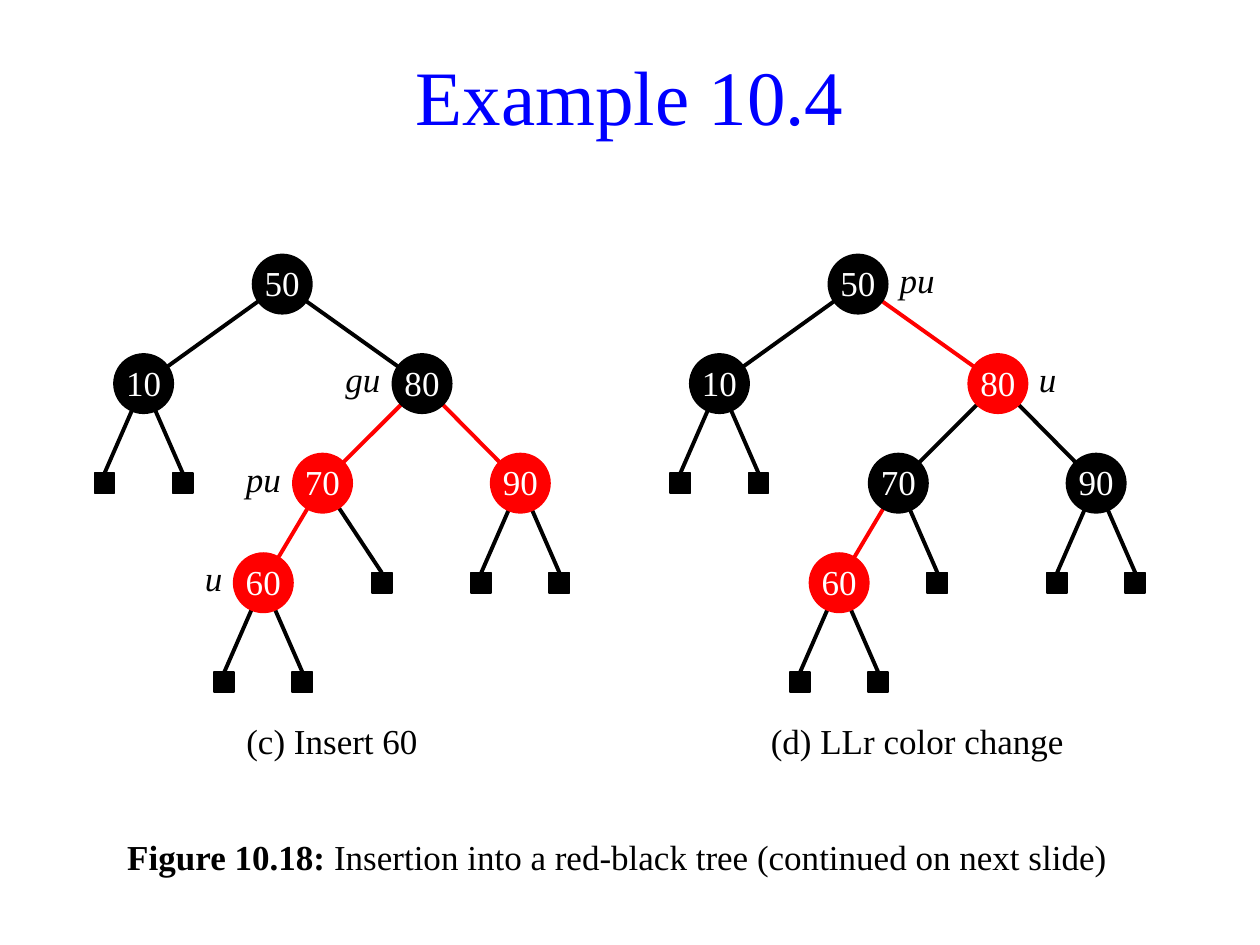
from dataclasses import dataclass

from lxml.etree import SubElement
from pptx import Presentation
from pptx.dml.color import RGBColor
from pptx.enum.shapes import MSO_CONNECTOR as Connector, MSO_SHAPE as Shape
from pptx.enum.text import MSO_ANCHOR as Anchor, MSO_AUTO_SIZE as AutoSize, PP_ALIGN as Align
from pptx.oxml.ns import qn
from pptx.util import Inches, Pt


@dataclass(frozen=True)
class Theme:
    font: str = "Times New Roman"
    black: RGBColor = RGBColor(0, 0, 0)
    red: RGBColor = RGBColor(255, 0, 0)
    blue: RGBColor = RGBColor(0, 0, 255)
    white: RGBColor = RGBColor(255, 255, 255)
    title_size: int = 44
    text_size: int = 20
    outline: float = 1
    edge: float = 2.25


THEME = Theme()

# Tree measures in inches
ROW = 0.79
NODE = 0.47
LEAF = 0.16
SPREAD = 0.31  # sideways distance from a node to its leaf


@dataclass(frozen=True)
class Node:
    key: str
    x: float
    level: int
    parent: str = ""
    leaves: tuple = ()


BOTH = (-SPREAD, SPREAD)


def tree_nodes(inner_leaf):
    """Nodes of the tree; inner_leaf is the offset of the leaf below 70."""
    return [
        Node("50", 1.49, 0),
        Node("10", 0.39, 1, "50", BOTH),
        Node("80", 2.6, 1, "50"),
        Node("70", 1.81, 2, "80", (inner_leaf,)),
        Node("90", 3.38, 2, "80", BOTH),
        Node("60", 1.34, 3, "70", BOTH),
    ]


def add_run(paragraph, text, color, size=THEME.text_size, bold=False, italic=False):
    run = paragraph.add_run()
    run.text = text
    font = run.font
    font.name, font.size = THEME.font, Pt(size)
    font.bold, font.italic = bold, italic
    font.color.rgb = color


def set_insets(frame, left, top, right, bottom):
    frame.margin_left, frame.margin_top = Inches(left), Inches(top)
    frame.margin_right, frame.margin_bottom = Inches(right), Inches(bottom)


def place(shape, left, top, width, height):
    shape.left, shape.top = Inches(left), Inches(top)
    shape.width, shape.height = Inches(width), Inches(height)


def add_edge(slide, start, end, color):
    points = [Inches(value) for value in (*start, *end)]
    edge = slide.shapes.add_connector(Connector.STRAIGHT, *points)
    edge.line.color.rgb = color
    edge.line.width = Pt(THEME.edge)
    SubElement(edge.element.spPr, qn("a:effectLst"))


def add_mark(slide, kind, center, size, color):
    x, y = center
    mark = slide.shapes.add_shape(kind, Inches(x - size / 2), Inches(y - size / 2),
                                  Inches(size), Inches(size))
    mark.shadow.inherit = False
    mark.fill.solid()
    mark.fill.fore_color.rgb = color
    mark.line.color.rgb = color
    mark.line.width = Pt(THEME.outline)
    return mark


def add_node(slide, key, center, color):
    frame = add_mark(slide, Shape.OVAL, center, NODE, color).text_frame
    set_insets(frame, 0, 0, 0, 0.01)
    frame.vertical_anchor = Anchor.BOTTOM
    paragraph = frame.paragraphs[0]
    paragraph.alignment = Align.CENTER
    add_run(paragraph, key, THEME.white)


def add_text(slide, text, left, top, width, italic=False):
    box = slide.shapes.add_textbox(Inches(left), Inches(top), Inches(width), Inches(NODE))
    frame = box.text_frame
    frame.word_wrap = True
    frame.vertical_anchor = Anchor.MIDDLE
    paragraph = frame.paragraphs[0]
    paragraph.alignment = Align.CENTER
    add_run(paragraph, text, THEME.black, italic=italic)
    return frame


def add_label(slide, text, center, side):
    """Pointer name touching the left (-1) or right (1) of a node."""
    x, y = center
    width = NODE if len(text) > 1 else 0.32
    left = x + NODE / 2 if side > 0 else x - NODE / 2 - width
    frame = add_text(slide, text, left, y - NODE / 2, width, italic=True)
    set_insets(frame, 0.08, 0, 0.08, 0.08)


def add_tree(slide, left, top, nodes, red_nodes, red_edges, labels, caption):
    centers = {node.key: (left + node.x, top + NODE / 2 + node.level * ROW)
               for node in nodes}

    # Edges lie behind the nodes
    leaves = []
    for node in nodes:
        x, y = centers[node.key]
        if node.parent:
            color = THEME.red if node.key in red_edges else THEME.black
            add_edge(slide, centers[node.parent], (x, y), color)
        for offset in node.leaves:
            leaf = (x + offset, y + ROW)
            add_edge(slide, (x, y), (leaf[0], leaf[1] - LEAF / 2), THEME.black)
            leaves.append(leaf)

    # Nodes, external nodes and pointer names
    for key, center in centers.items():
        add_node(slide, key, center, THEME.red if key in red_nodes else THEME.black)
    for leaf in leaves:
        add_mark(slide, Shape.RECTANGLE, leaf, LEAF, THEME.black)
    for key, (text, side) in labels.items():
        add_label(slide, text, centers[key], side)

    # Caption
    text, offset, width = caption
    add_text(slide, text, left + offset, top + 3.62, width)


def fill_title(shape, left, top, width, height):
    place(shape, left, top, width, height)
    frame = shape.text_frame
    frame.auto_size = AutoSize.NONE
    frame.vertical_anchor = Anchor.MIDDLE
    paragraph = frame.paragraphs[0]
    paragraph.alignment = Align.CENTER
    add_run(paragraph, "Example 10.4", THEME.blue, THEME.title_size)


def fill_figure_text(shape, left, top, width, height):
    place(shape, left, top, width, height)
    frame = shape.text_frame
    frame.auto_size = AutoSize.NONE
    frame.vertical_anchor = Anchor.TOP
    paragraph = frame.paragraphs[0]
    properties = paragraph._p.get_or_add_pPr()
    properties.set("marL", "0")
    properties.set("indent", "0")
    SubElement(properties, qn("a:buNone"))
    paragraph.alignment = Align.LEFT
    paragraph.space_before = Pt(0)
    add_run(paragraph, "Figure 10.18: ", THEME.black, bold=True)
    add_run(paragraph, "Insertion into a red-black tree (continued on next slide)", THEME.black)


def main():
    presentation = Presentation()
    presentation.slide_width, presentation.slide_height = Inches(10), Inches(7.5)
    slide = presentation.slides.add_slide(presentation.slide_layouts[1])

    fill_title(slide.shapes.title, 0.43, 0.28, 9.14, 0.94)
    fill_figure_text(slide.placeholders[1], 0.91, 6.58, 8.03, 0.47)
    add_tree(slide, 0.75, 2.02, tree_nodes(0.47),
             red_nodes={"60", "70", "90"}, red_edges={"60", "70", "90"},
             labels={"80": ("gu", -1), "70": ("pu", -1), "60": ("u", -1)},
             caption=("(c) Insert 60", 1.1, 1.57))
    add_tree(slide, 5.32, 2.02, tree_nodes(SPREAD),
             red_nodes={"60", "80"}, red_edges={"60", "80"},
             labels={"50": ("pu", 1), "80": ("u", 1)},
             caption=("(d) LLr color change", 0.62, 2.68))
    presentation.save("out.pptx")


if __name__ == "__main__":
    main()
